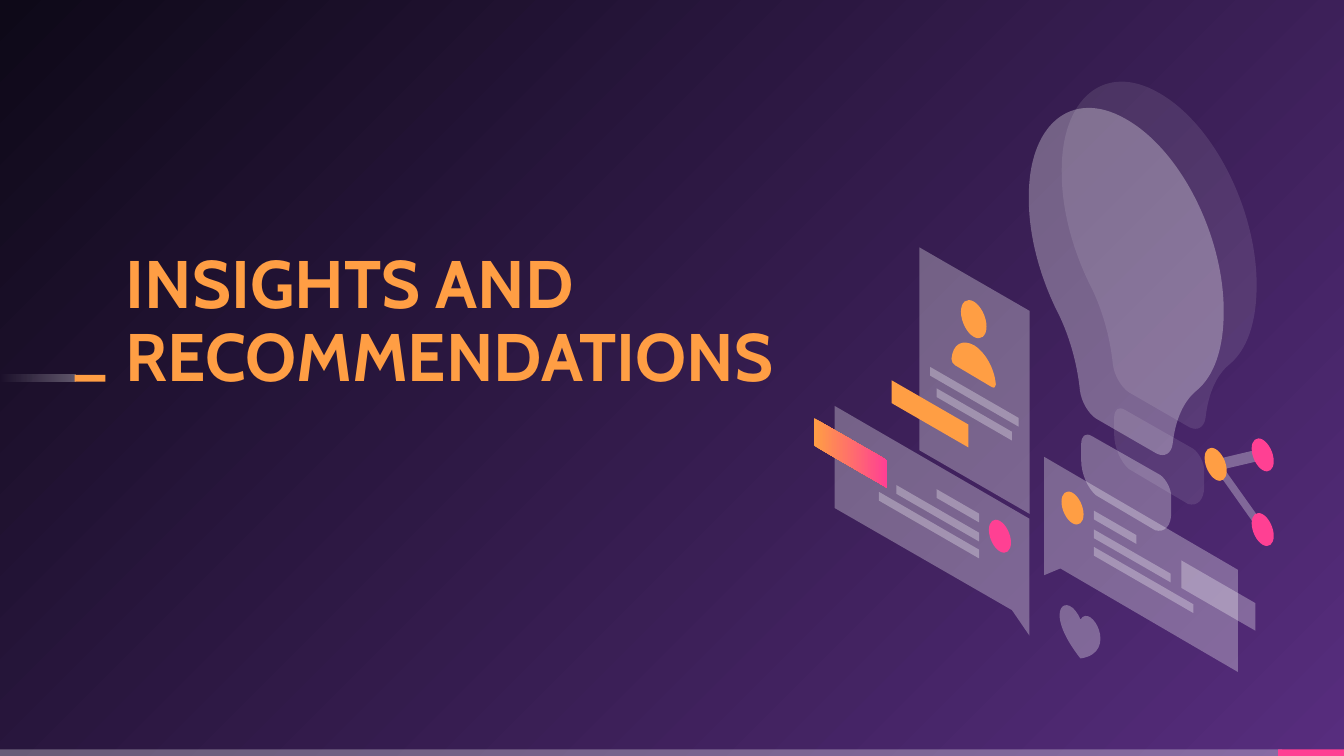
from lxml import etree
from pptx import Presentation
from pptx import util as u
from pptx.dml import color
from pptx.enum import shapes, text
from pptx.oxml import ns

COLUMNS, ROWS = 1000, 562.5
CELL = u.Inches(0.01)
SLOPE = 0.577
WHITE, ORANGE, PINK = "FFFFFF", "FF9E44", "FF4093"
GLASS = (WHITE, 30)
FAINT = (WHITE, 10)
CLEAR = (WHITE, 0)

BULB = [
    (915, 271), (928, 260, 935, 240, 935, 212), (935, 156, 903, 92, 862, 69),
    (822, 46, 789, 73, 790, 129), (790, 156, 798, 185, 810, 210),
    (820, 229, 826, 251, 828, 271), (829, 279, 834, 288, 840, 292),
    (885, 318), (891, 321, 896, 318, 897, 311), (899, 293, 905, 279, 915, 271),
]
SOCKET = [
    (896, 362), (896, 350), (896, 344, 892, 337, 888, 334), (837, 305),
    (832, 302, 829, 305, 829, 311), (829, 323), (829, 333, 834, 344, 840, 349),
    (884, 375), (891, 377, 896, 372, 896, 362),
]
LEFT_BUBBLE = [(766, 386), (621, 302), (621, 378), (753, 454), (766, 473)]
RIGHT_BUBBLE = [(777, 340), (921, 424), (921, 500), (789, 423), (777, 428)]
SHARE_LINES = [(938, 334), (941, 342), (911, 349), (943, 394), (939, 398), (900, 343)]
SHOULDERS = [
    (725, 257), (716, 252, 709, 256, 708, 267), (708, 269, 709, 271, 711, 272),
    (738, 288), (740, 289, 741, 288, 741, 286), (740, 274, 733, 262, 725, 257),
]
HEART = [(804, 490), (774, 452, 795, 439, 804, 461), (812, 448, 833, 486, 804, 490)]
ROUND = 0.55
CIRCLE = [
    (1, 0), (1, ROUND, ROUND, 1, 0, 1), (-ROUND, 1, -1, ROUND, -1, 0),
    (-1, -ROUND, -ROUND, -1, 0, -1), (ROUND, -1, 1, -ROUND, 1, 0),
]


def rgb(value):
    return color.RGBColor.from_string(value)


def size(cells):
    return u.Emu(round(cells * CELL))


def pairs(piece):
    return list(zip(piece[::2], piece[1::2]))


def paint(shape, *stops):
    shape.shadow.inherit = False
    shape.line.fill.background()
    if len(stops) == 1:
        shape.fill.solid()
        shape.fill.fore_color.rgb = rgb(stops[0][0])
    else:
        shape.fill.gradient()
        shape.fill.gradient_angle = 0
        for stop, (value, _) in zip(shape.fill.gradient_stops, stops):
            stop.color.rgb = rgb(value)
    tints = list(shape.element.spPr.iter(ns.qn("a:srgbClr")))
    for tint, (_, opacity) in zip(tints, stops):
        if opacity < 100:
            etree.SubElement(tint, ns.qn("a:alpha"), val=str(opacity * 1000))


def curve(start, piece, steps=16):
    handles = [start, *pairs(piece)]
    for step in range(1, steps + 1):
        t = step / steps
        weights = ((1 - t) ** 3, 3 * t * (1 - t) ** 2, 3 * t * t * (1 - t), t ** 3)
        yield tuple(sum(w * p for w, p in zip(weights, axis)) for axis in zip(*handles))


def set_curves(shape, pieces):
    track = next(shape.element.iter(ns.qn("a:path")))
    for child in list(track):
        track.remove(child)
    for index, piece in enumerate(pieces):
        kind = "cubicBezTo" if len(piece) == 6 else "lnTo" if index else "moveTo"
        move = etree.SubElement(track, ns.qn("a:" + kind))
        for x, y in pairs(piece):
            etree.SubElement(move, ns.qn("a:pt"), x=str(size(x) - shape.left),
                             y=str(size(y) - shape.top))
    etree.SubElement(track, ns.qn("a:close"))


def outline(page, pieces, *stops):
    points = [pieces[0]]
    for piece in pieces[1:]:
        points.extend([piece] if len(piece) == 2 else curve(points[-1], piece))
    spots = [(size(x), size(y)) for x, y in points]
    builder = page.shapes.build_freeform(*spots[0])
    builder.add_line_segments(spots[1:], close=True)
    shape = builder.convert_to_shape()
    set_curves(shape, pieces)
    paint(shape, *stops)


def remap(pieces, rule):
    return [tuple(n for x, y in pairs(piece) for n in rule(x, y)) for piece in pieces]


def slanted_bar(page, left, top, width, height, *stops):
    right, drop = left + width, top + width * SLOPE
    corners = [(left, top), (right, drop), (right, drop + height), (left, top + height)]
    outline(page, corners, *stops)


def slanted_disc(page, x, y, value, radius=8.2):
    rim = remap(CIRCLE, lambda a, b: (x + radius * a, y + radius * (1.38 * b + SLOPE * a)))
    outline(page, rim, (value, 100))


def strip(page, left, top, width, *stops):
    box = page.shapes.add_shape(
        shapes.MSO_SHAPE.RECTANGLE, size(left), size(top), size(width), size(5))
    paint(box, *stops)


def backdrop(page):
    fill = page.background.fill
    fill.gradient()
    for stop, value in zip(fill.gradient_stops, ("572D7E", "0E0918")):
        stop.color.rgb = rgb(value)
    linear = next(page.element.iter(ns.qn("a:lin")))
    radial = etree.Element(ns.qn("a:path"), path="circle")
    etree.SubElement(radial, ns.qn("a:fillToRect"), l="100000", t="100000")
    linear.getparent().replace(linear, radial)


def heading(page, words):
    box = page.shapes.title
    box.left, box.top, box.width, box.height = map(size, (93.5, 167.5, 559, 127))
    frame = box.text_frame
    frame.text = words
    frame.word_wrap = True
    frame.auto_size = text.MSO_AUTO_SIZE.NONE
    frame.vertical_anchor = text.MSO_ANCHOR.BOTTOM
    frame.margin_left = frame.margin_right = frame.margin_top = frame.margin_bottom = 0
    para = frame.paragraphs[0]
    para.alignment = text.PP_ALIGN.LEFT
    para.line_spacing = 0.9
    para.space_before = u.Pt(0)
    para.font.name = "Cabin"
    para.font.size = u.Pt(36)
    para.font.bold = True
    para.font.color.rgb = rgb(ORANGE)


def light_bulb(page):
    for across, down, tint in ((0, 0, FAINT), (-24.5, 19.5, GLASS)):
        for pieces in (BULB, SOCKET):
            outline(page, remap(pieces, lambda x, y: (x + across, y + down)), tint)


def left_message(page):
    outline(page, LEFT_BUBBLE, GLASS)
    slanted_bar(page, 605.5, 311, 54.5, 20.5, (ORANGE, 100), (PINK, 100))
    for left, top in ((697, 364), (667, 361), (654, 366)):
        slanted_bar(page, left, top, 728.5 - left, 6.5, GLASS)
    slanted_disc(page, 744, 399, PINK)


def right_message(page):
    outline(page, RIGHT_BUBBLE, GLASS)
    slanted_bar(page, 879, 417, 55, 20.5, GLASS)
    for top, width in ((380, 31.5), (394, 57), (407, 74)):
        slanted_bar(page, 814, top, width, 6.5, GLASS)
    slanted_disc(page, 798, 378, ORANGE)


def share_icon(page):
    outline(page, SHARE_LINES, GLASS)
    for x, y, value in ((939.5, 338.5, PINK), (939.5, 394, PINK), (904.5, 345.5, ORANGE)):
        slanted_disc(page, x, y, value)


def profile_card(page):
    slanted_bar(page, 684, 184, 82, 151, GLASS)
    slanted_bar(page, 692, 273, 66, 6.5, GLASS)
    slanted_bar(page, 697, 289, 56, 6.5, GLASS)
    slanted_bar(page, 663.5, 283, 57, 17, (ORANGE, 100))
    slanted_disc(page, 724.5, 237.5, ORANGE, radius=9.5)
    outline(page, SHOULDERS, (ORANGE, 100))


def main():
    deck = Presentation()
    deck.slide_width, deck.slide_height = size(COLUMNS), size(ROWS)
    page = deck.slides.add_slide(deck.slide_layouts[5])
    backdrop(page)
    strip(page, 0, ROWS - 5, 954, GLASS)
    strip(page, 951, ROWS - 5, 49, (PINK, 100))
    strip(page, 0, 279, 56, CLEAR, GLASS)
    strip(page, 55.5, 279, 23, (ORANGE, 100))
    heading(page, "INSIGHTS AND RECOMMENDATIONS")
    artwork = page.shapes.add_group_shape()
    for draw in (light_bulb, left_message, right_message, share_icon, profile_card):
        draw(artwork)
    outline(artwork, HEART, GLASS)
    deck.save("out.pptx")


if __name__ == "__main__":
    main()
